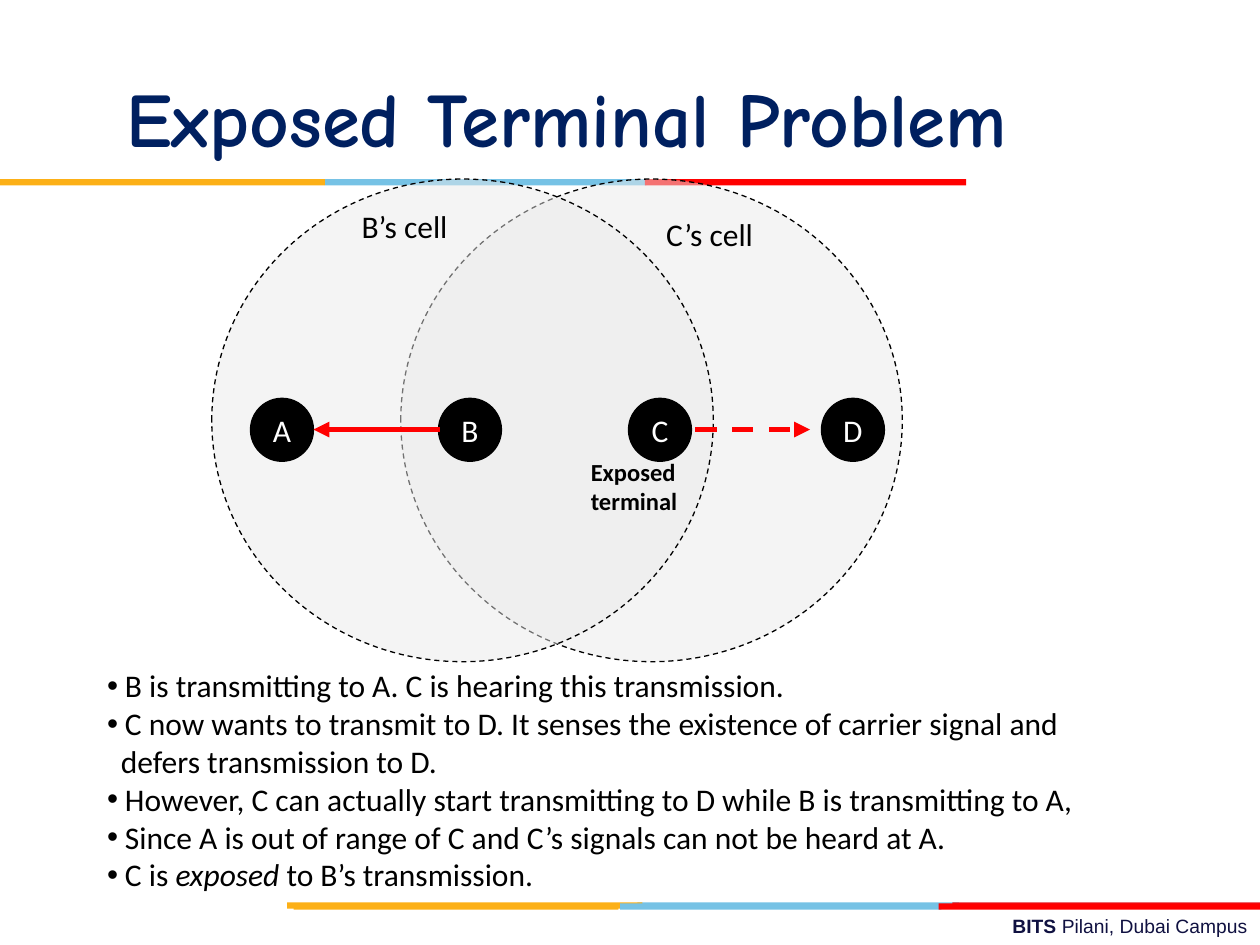
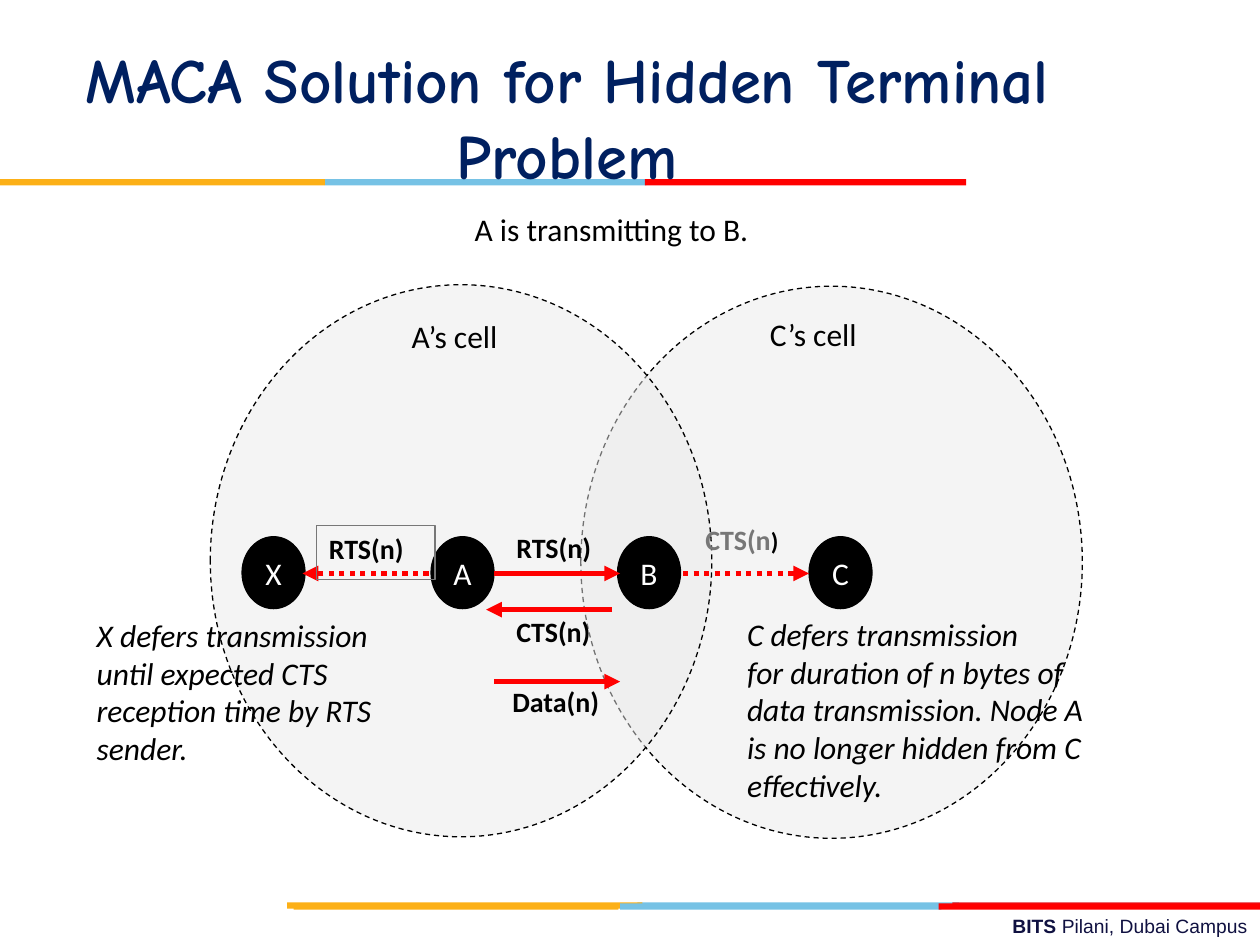
"""Build two slides on the exposed and hidden terminal problems."""
from lxml import etree
from pptx import Presentation
from pptx import util as u
from pptx.dml.color import RGBColor
from pptx.enum import dml, shapes, text
from pptx.oxml import ns

Cm, Pt = u.Cm, u.Pt
BLACK = RGBColor(0x00, 0x00, 0x00)
WHITE = RGBColor(0xFF, 0xFF, 0xFF)
RED = RGBColor(0xFF, 0x00, 0x00)
DARK_RED = RGBColor(0xE3, 0x1C, 0x24)
BLUE = RGBColor(0x76, 0xC2, 0xE5)
YELLOW = RGBColor(0xFC, 0xB0, 0x17)
NAVY = RGBColor(0x00, 0x20, 0x60)
FOOTER_INK = RGBColor(0x10, 0x11, 0x41)
CELL_FILL = RGBColor(0xEA, 0xEA, 0xEA)
GRAY = RGBColor(0x77, 0x77, 0x77)

BODY_FONT, TITLE_FONT, FOOTER_FONT = "Calibri", "Comic Neue", "Arial"
DASH = dml.MSO_LINE.DASH
DOTS = dml.MSO_LINE.ROUND_DOT
CENTER, RIGHT = text.PP_ALIGN.CENTER, text.PP_ALIGN.RIGHT

BAND_HEIGHT = 0.13
BANDS = [
    (18.19, [(12.85, 6.48, BLUE), (19.2, 6.2, DARK_RED), (5.79, 7.16, YELLOW)]),
    (18.21, [(12.5, 6.48, BLUE), (5.92, 6.55, YELLOW), (18.92, 6.48, RED)]),
    (3.61, [(6.55, 6.48, BLUE), (0, 6.55, YELLOW), (13, 6.48, RED)]),
]


def lengths(box):
    """Turn a tuple of centimetres into lengths."""
    return [Cm(v) for v in box]


def add_shape(s, kind, box, fill, line=None):
    """Add a flat preset shape with a solid fill and an optional thin line."""
    sp = s.shapes.add_shape(kind, *lengths(box))
    sp.shadow.inherit = False
    sp.fill.solid()
    sp.fill.fore_color.rgb = fill
    if line is None:
        sp.line.fill.background()
    else:
        sp.line.color.rgb = line
        sp.line.width = Pt(0.75)
    return sp


def write(tf, lines, size, color=BLACK, font=BODY_FONT, bold=False,
          italic=False, align=None):
    """Write paragraphs, each a string or a tuple of run strings."""
    for i, line in enumerate(lines):
        p = tf.paragraphs[0] if i == 0 else tf.add_paragraph()
        if align is not None:
            p.alignment = align
        if isinstance(line, str):
            p.text = line
        else:
            for part in line:
                p.add_run().text = part
        for r in p.runs:
            r.font.size, r.font.name = Pt(size), font
            r.font.bold, r.font.italic = bold, italic
            r.font.color.rgb = color


def add_text(s, box, lines, size, wrap=False, **style):
    """Add a text box and return it."""
    sp = s.shapes.add_textbox(*lengths(box))
    tf = sp.text_frame
    tf.word_wrap = wrap
    tf.auto_size = text.MSO_AUTO_SIZE.SHAPE_TO_FIT_TEXT
    write(tf, lines, size, **style)
    return sp


def add_cell(s, left, top, height):
    """Add the translucent radio range of a terminal."""
    sp = add_shape(s, shapes.MSO_SHAPE.OVAL, (left, top, 10.11, height),
                   CELL_FILL, BLACK)
    sp.line.dash_style = DASH
    color = sp.fill._xPr.find(ns.qn("a:solidFill"))[0]
    etree.SubElement(color, ns.qn("a:alpha")).set("val", "49000")


def add_terminal(s, name, left, top, height):
    """Add a black terminal with its letter."""
    sp = add_shape(s, shapes.MSO_SHAPE.OVAL, (left, top, 1.27, height),
                   BLACK, BLACK)
    tf = sp.text_frame
    tf.word_wrap = False
    tf.vertical_anchor = text.MSO_ANCHOR.MIDDLE
    write(tf, [name], 18, color=WHITE, align=CENTER)


def add_arrow(s, x1, x2, y, dash=None):
    """Add a horizontal red arrow pointing to x2."""
    cx = s.shapes.add_connector(shapes.MSO_CONNECTOR.STRAIGHT,
                                *lengths((x1, y, x2, y)))
    cx.line.color.rgb = RED
    cx.line.width = Pt(3)
    if dash is not None:
        cx.line.dash_style = dash
    etree.SubElement(cx.line._get_or_add_ln(), ns.qn("a:tailEnd")).set("type", "triangle")
    etree.SubElement(cx._element.spPr, ns.qn("a:effectLst"))


def set_bullet(p, indent=0.36):
    """Give a paragraph a hanging round bullet."""
    pPr = p._p.get_or_add_pPr()
    pPr.set("marL", str(Cm(indent)))
    pPr.set("indent", str(-Cm(indent)))
    etree.SubElement(pPr, ns.qn("a:buFont")).set("typeface", "Arial")
    etree.SubElement(pPr, ns.qn("a:buChar")).set("char", "•")


def add_slide(prs, title, size):
    """Add a slide with footer, colour bands and title."""
    s = prs.slides.add_slide(prs.slide_layouts[6])
    sp = add_text(s, (9.09, 18.31, 16.31, 0.74),
                  [("BITS ", "Pilani, Dubai Campus")], 11, wrap=True,
                  color=FOOTER_INK, font=FOOTER_FONT, align=RIGHT)
    sp.text_frame.paragraphs[0].runs[0].font.bold = True
    for top, parts in BANDS:
        for left, width, color in parts:
            add_shape(s, shapes.MSO_SHAPE.RECTANGLE,
                      (left, top, width, BAND_HEIGHT), color)
    sp = add_text(s, (0, 0.76, 22.86, 3.18), [title], size, wrap=True,
                  color=NAVY, font=TITLE_FONT, bold=True, align=CENTER)
    sp.text_frame.auto_size = text.MSO_AUTO_SIZE.NONE
    sp.text_frame.vertical_anchor = text.MSO_ANCHOR.MIDDLE
    return s


def exposed_terminal(prs):
    """Build the slide on the exposed terminal problem."""
    s = add_slide(prs, "Exposed Terminal Problem", 44)
    for left in (8.08, 4.27):
        add_cell(s, left, 3.61, 9.73)
    for name, left in (("B", 8.84), ("C", 12.67), ("A", 5.05), ("D", 16.56)):
        add_terminal(s, name, left, 8.03, 1.27)
    add_arrow(s, 8.86, 6.32, 8.66)
    add_arrow(s, 14.02, 16.33, 8.66, DASH)
    add_text(s, (7.04, 4.04, 2.51, 1.02), ["B’s cell"], 18)
    add_text(s, (13.18, 4.22, 2.57, 1.02), ["C’s cell"], 18)
    notes = add_text(s, (1.91, 13.31, 21.95, 4.83), [
        "B is transmitting to A. C is hearing this transmission.",
        "C now wants to transmit to D. It senses the existence of carrier signal and",
        "defers transmission to D.",
        "However, C can actually start transmitting to D while B is transmitting to A,",
        "Since A is out of range of C and C’s signals can not be heard at A.",
        ("C is ", "exposed", " to B’s transmission."),
    ], 18)
    paragraphs = notes.text_frame.paragraphs
    for i, p in enumerate(paragraphs):
        if i == 2:
            p._p.get_or_add_pPr().set("marL", str(Cm(0.28)))
        else:
            set_bullet(p)
    paragraphs[-1].runs[1].font.italic = True
    add_text(s, (11.66, 9.09, 2.57, 1.45), ["Exposed", "terminal"], 14, bold=True)


def maca_solution(prs):
    """Build the slide on MACA and the hidden terminal problem."""
    s = add_slide(prs, "MACA Solution for Hidden Terminal Problem", 36)
    for left, top in ((11.71, 5.77), (4.24, 5.74)):
        add_cell(s, left, top, 11.13)
    for name, left in (("B", 12.45), ("C", 16.31), ("A", 8.69), ("X", 4.88)):
        add_terminal(s, name, left, 10.82, 1.45)
    for x1, x2, y, dash in (
        (9.96, 12.5, 11.56, None),
        (12.34, 9.8, 12.29, None),
        (9.96, 12.5, 13.74, None),
        (13.77, 16.31, 11.56, DOTS),
        (8.64, 6.1, 11.56, DOTS),
    ):
        add_arrow(s, x1, x2, y, dash)
    add_text(s, (8.05, 6.27, 2.51, 1.17), ["A’s cell"], 18)
    add_text(s, (15.27, 6.22, 2.57, 1.17), ["C’s cell"], 18)
    for message, left, top, width in (
        ("CTS(n)", 10.16, 12.27, 2.36),
        ("Data(n)", 10.08, 13.67, 2.46),
        ("RTS(n)", 10.16, 10.57, 2.36),
    ):
        add_text(s, (left, top, width, 1.07), [message], 16, bold=True)
    cts = add_text(s, (13.97, 10.41, 2.34, 1.07), [("CTS(n", ")")], 16,
                   color=GRAY, bold=True)
    r = cts.text_frame.paragraphs[0].runs[1]
    r.font.size = Pt(14)
    r.font.color.rgb = BLACK
    rts = add_text(s, (6.38, 10.59, 2.39, 1.09), ["RTS(n)"], 16, bold=True)
    rts.line.color.rgb = GRAY
    rts.line.width = Pt(0.75)
    add_text(s, (14.81, 12.27, 8.13, 4.65), [
        "C defers transmission",
        "for duration of n bytes of",
        "data transmission. Node A",
        "is no longer hidden from C\veffectively.",
    ], 18, italic=True)
    add_text(s, (1.7, 12.29, 6.96, 3.78), [
        "X defers transmission",
        "until expected CTS",
        "reception time by RTS",
        "sender.",
    ], 18, italic=True)
    add_text(s, (9.32, 4.11, 6.5, 1.17), ["A is transmitting to B."], 18)


def main():
    """Build and save the presentation."""
    prs = Presentation()
    prs.slide_width, prs.slide_height = Cm(25.4), Cm(19.05)
    exposed_terminal(prs)
    maca_solution(prs)
    prs.save("out.pptx")


if __name__ == "__main__":
    main()
